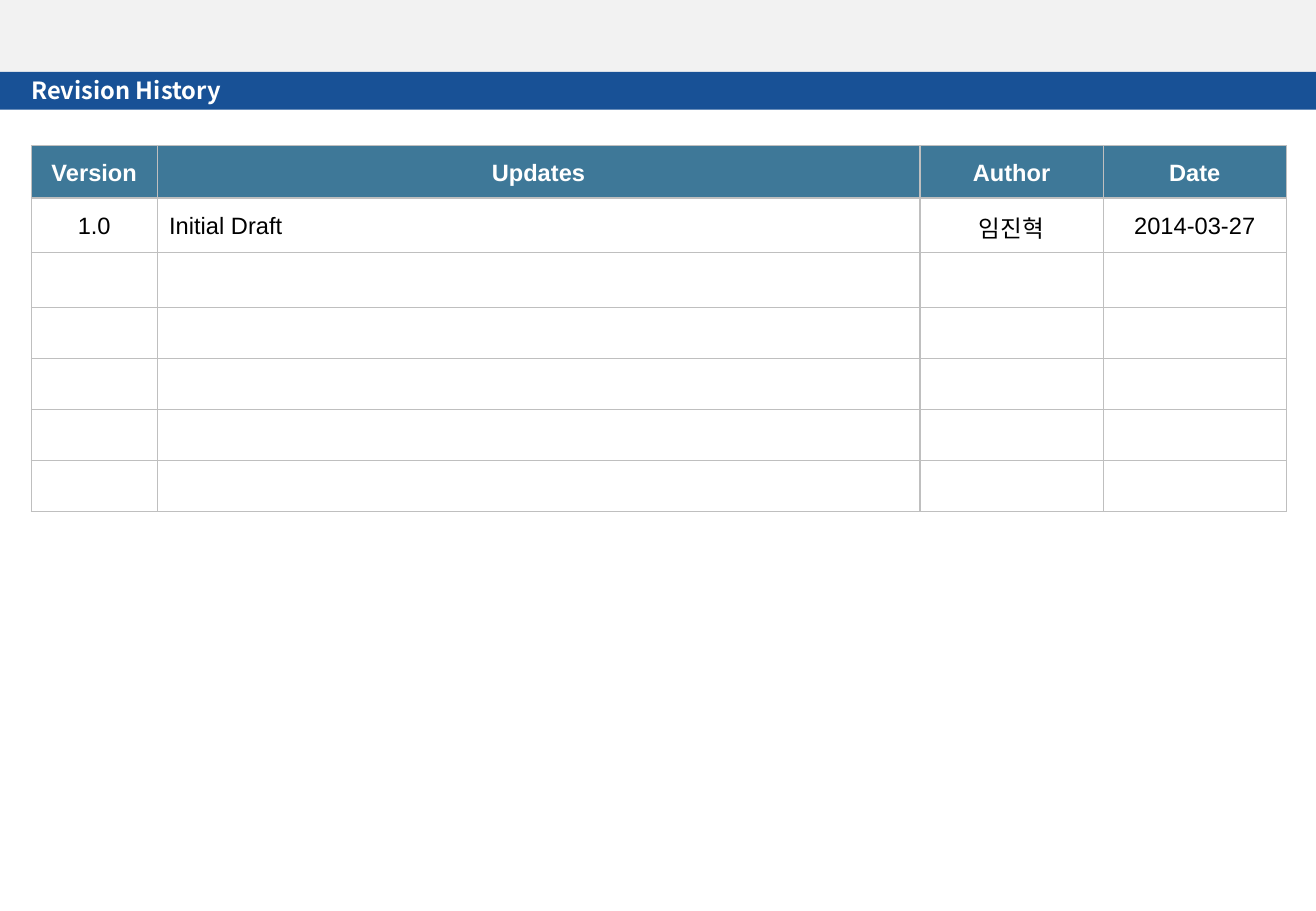
import pptx
import pptx.util
import pptx.dml.color
import pptx.enum.shapes
import pptx.enum.text
import pptx.oxml
import lxml.etree

Pt = pptx.util.Pt
RGB = pptx.dml.color.RGBColor.from_string
ALIGN = pptx.enum.text.PP_ALIGN
MIDDLE = pptx.enum.text.MSO_ANCHOR.MIDDLE
qn = pptx.oxml.ns.qn

theme = {
    "band": "F2F2F2",
    "title_bar": "185196",
    "header": "3E7898",
    "grid": "BFBFBF",
    "light": "FFFFFF",
    "dark": "000000",
    "title_font": "Noto Sans CJK KR",
    "table_font": "Arial",
    "size": 14,
    "grid_width": 0.75,
}


def style_text(paragraph, font_name, color, bold):
    for run in paragraph.runs:
        run.font.name = font_name
        run.font.size = Pt(theme["size"])
        run.font.bold = bold
        run.font.color.rgb = RGB(theme[color])
        east_asian = lxml.etree.Element(qn("a:ea"), typeface=theme["title_font"])
        run.font._element.find(qn("a:latin")).addnext(east_asian)


def add_borders(cell):
    properties = cell._tc.get_or_add_tcPr()
    for position, side in enumerate(("lnL", "lnR", "lnT", "lnB")):
        border = lxml.etree.Element(qn(f"a:{side}"), w=str(Pt(theme["grid_width"])))
        fill = lxml.etree.SubElement(border, qn("a:solidFill"))
        lxml.etree.SubElement(fill, qn("a:srgbClr"), val=theme["grid"])
        properties.insert(position, border)


presentation = pptx.Presentation()
presentation.slide_width = Pt(780)
presentation.slide_height = Pt(540)
slide = presentation.slides.add_slide(presentation.slide_layouts[6])

for top, height, color in ((0, 44.6, "band"), (42.6, 22.4, "title_bar")):
    bar = slide.shapes.add_shape(
        pptx.enum.shapes.MSO_SHAPE.RECTANGLE, 0, Pt(top), Pt(780), Pt(height)
    )
    bar.shadow.inherit = False
    bar.fill.solid()
    bar.fill.fore_color.rgb = RGB(theme[color])
    bar.line.fill.background()

left = 18.6
column_widths = (74.5, 452.2, 108.6, 108.6)
row_heights = (31, 32.5, 32.2) + (30.3,) * 4
entries = (
    ("Version", "Updates", "Author", "Date"),
    ("1.0", "Initial Draft", "임진혁", "2014-03-27"),
)

history = slide.shapes.add_table(
    len(row_heights), len(column_widths),
    Pt(left), Pt(86.4), Pt(sum(column_widths)), Pt(sum(row_heights)),
).table
history.horz_banding = False
for column, width in zip(history.columns, column_widths):
    column.width = Pt(width)

for row_index, height in enumerate(row_heights):
    history.rows[row_index].height = Pt(height)
    is_header = row_index == 0
    for column_index in range(len(column_widths)):
        cell = history.cell(row_index, column_index)
        cell.vertical_anchor = MIDDLE
        cell.fill.solid()
        cell.fill.fore_color.rgb = RGB(theme["header" if is_header else "light"])
        add_borders(cell)
        if row_index < len(entries):
            paragraph = cell.text_frame.paragraphs[0]
            paragraph.text = entries[row_index][column_index]
            paragraph.line_spacing = 1.1
            is_update = column_index == 1 and not is_header
            paragraph.alignment = ALIGN.LEFT if is_update else ALIGN.CENTER
            style_text(
                paragraph, theme["table_font"], "light" if is_header else "dark", is_header
            )

title = slide.shapes.add_textbox(Pt(left), Pt(44.6), Pt(705), Pt(17.4)).text_frame
title.word_wrap = True
title.vertical_anchor = MIDDLE
title.margin_left = title.margin_right = title.margin_top = title.margin_bottom = 0
title.text = "Revision History"
style_text(title.paragraphs[0], theme["title_font"], "light", True)

presentation.save("out.pptx")
